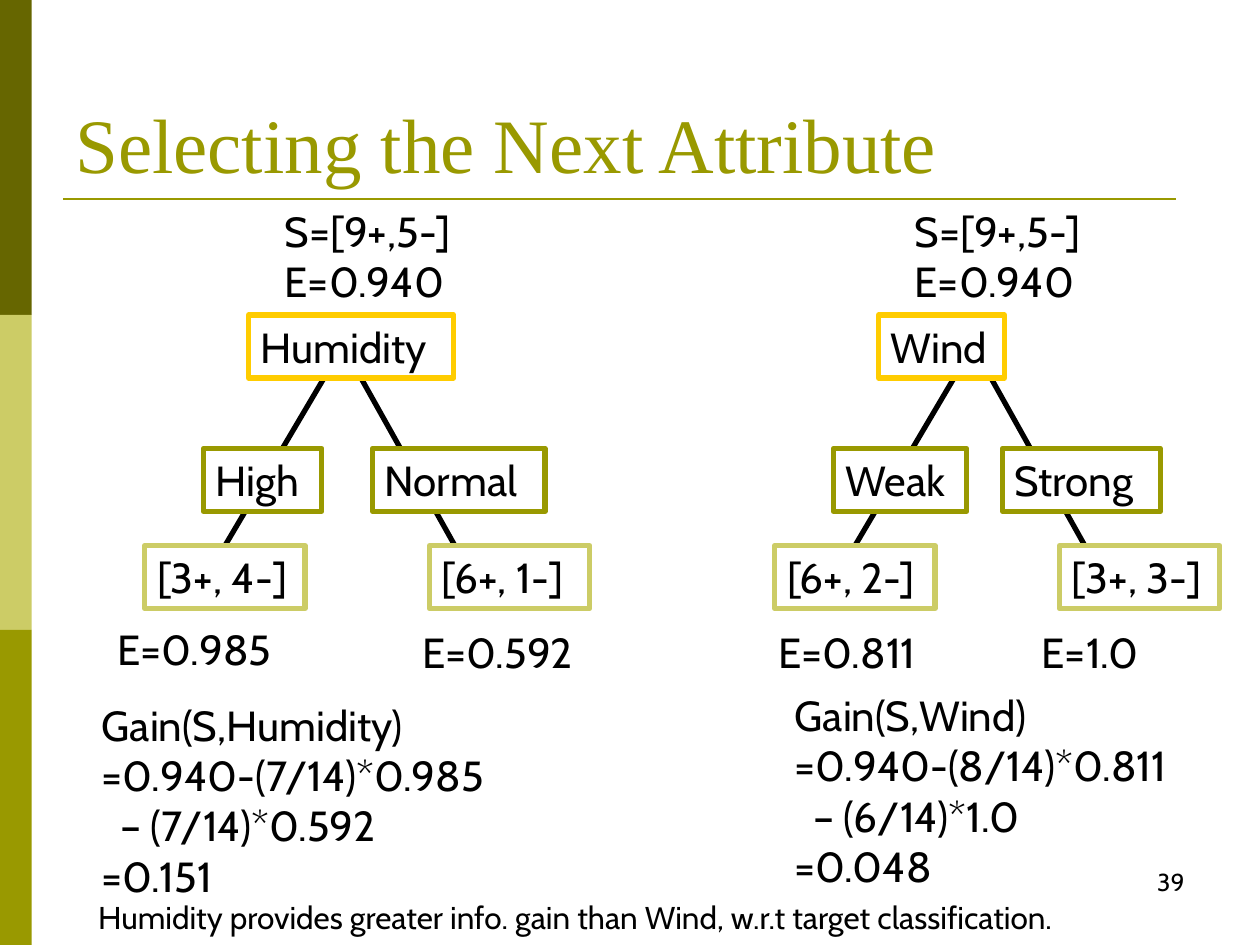
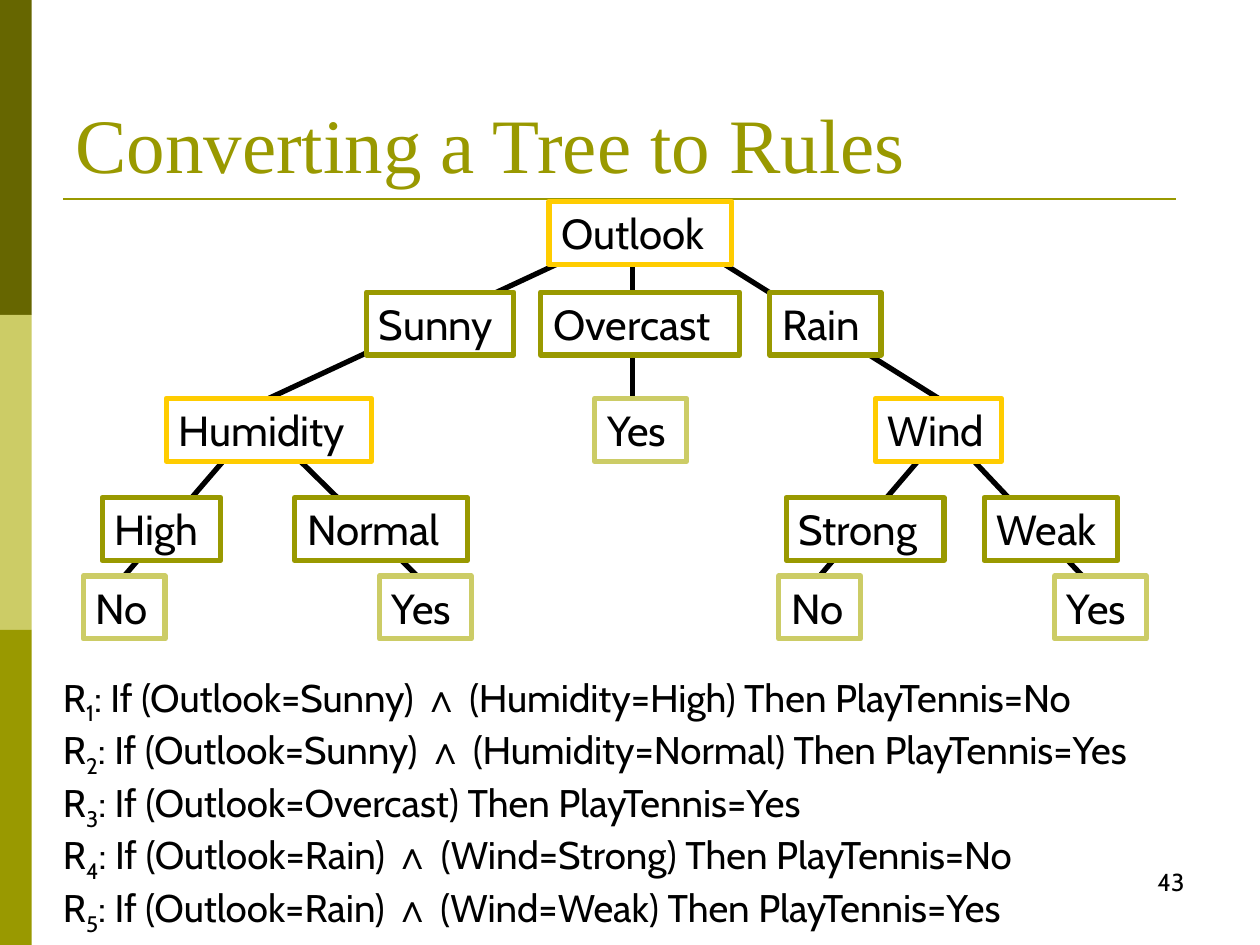
import pptx
import pptx.dml.color
import pptx.enum.shapes
import pptx.enum.text
import pptx.oxml.ns
import pptx.util
from lxml import etree

Cm = pptx.util.Cm
Pt = pptx.util.Pt
ALIGN = pptx.enum.text.PP_ALIGN
ANCHOR = pptx.enum.text.MSO_ANCHOR

BLACK, WHITE = "000000", "FFFFFF"
DARK_OLIVE, OLIVE, PALE_OLIVE, GOLD = "666600", "999900", "CCCC66", "FFCC00"
BODY_FONT, TITLE_FONT, SYMBOL_FONT = "Cabin", "Times New Roman", "Arial"
BANDS = [DARK_OLIVE, PALE_OLIVE, OLIVE]
NODE_HEIGHT = 1.27

NODE_WIDTHS = {
    GOLD: {"Outlook": 3.68, "Humidity": 4.14, "Wind": 2.54},
    OLIVE: {"Sunny": 2.97, "Overcast": 4.01, "Rain": 2.24, "High": 2.39,
            "Normal": 3.48, "Weak": 2.69, "Strong": 3.18},
    PALE_OLIVE: {"No": 1.65, "Yes": 1.85, "[3+, 4-]": 3.23, "[6+, 1-]": 3.23,
                 "[6+, 2-]": 3.23, "[3+, 3-]": 3.23},
}
NODE_STYLES = {label: (width, colour)
               for colour, widths in NODE_WIDTHS.items()
               for label, width in widths.items()}

START = ["S=[9+,5-]", "E=0.940"]
SPLIT_STEP = 12.7
SPLIT_BRANCHES = [(6.55, 7.59, 4.47, 11), (7.26, 7.59, 9.17, 11)]
SPLITS = [
    {
        "attribute": "Humidity",
        "values": ["High", "Normal"],
        "counts": ["[3+, 4-]", "[6+, 1-]"],
        "entropies": [("E=0.985", 2.11, 12.45), ("E=0.592", 8.26, 12.5)],
        "gain": ["Gain(S,Humidity)", "=0.940-(7/14)*0.985", "– (7/14)*0.592", "=0.151"],
        "gain_at": (1.8, 13.97),
    },
    {
        "attribute": "Wind",
        "values": ["Weak", "Strong"],
        "counts": ["[6+, 2-]", "[3+, 3-]"],
        "entropies": [("E=0.811", 15.44, 12.5), ("E=1.0", 20.75, 12.5)],
        "gain": ["Gain(S,Wind)", "=0.940-(8/14)*0.811", "– (6/14)*1.0", "=0.048"],
        "gain_at": (15.77, 13.77),
    },
]
CONCLUSION = "Humidity provides greater info. gain than Wind, w.r.t target classification."

TREE_ROWS = [
    (4.06, [("Outlook", 11.07)]),
    (5.89, [("Sunny", 7.39), ("Overcast", 10.9), ("Rain", 15.52)]),
    (8.03, [("Humidity", 3.35), ("Yes", 11.99), ("Wind", 17.65)]),
    (10.03, [("High", 2.06), ("Normal", 5.94), ("Strong", 15.85), ("Weak", 19.84)]),
    (11.61, [("No", 1.68), ("Yes", 7.65), ("No", 15.7), ("Yes", 21.26)]),
]
TREE_BRANCHES = [
    (12.14, 4.9, 5.44, 8.03), (13.92, 4.9, 18.85, 8.03), (12.75, 5.05, 12.75, 8.03),
    (4.85, 8.89, 2.49, 11.61), (5.64, 8.89, 8.41, 11.61),
    (18.85, 8.89, 16.48, 11.61), (19.25, 8.89, 21.82, 11.61),
]
RULES = [
    (["Outlook=Sunny", "Humidity=High"], "No"),
    (["Outlook=Sunny", "Humidity=Normal"], "Yes"),
    (["Outlook=Overcast"], "Yes"),
    (["Outlook=Rain", "Wind=Strong"], "No"),
    (["Outlook=Rain", "Wind=Weak"], "Yes"),
]


def rgb(colour):
    return pptx.dml.color.RGBColor.from_string(colour)


def add_run(paragraph, words, size=24, font=BODY_FONT, colour=BLACK):
    run = paragraph.add_run()
    run.text = words
    run.font.size = Pt(size)
    run.font.name = font
    run.font.color.rgb = rgb(colour)
    return run


def add_rect(slide, left, top, width, height, fill, outline=None):
    rect = slide.shapes.add_shape(pptx.enum.shapes.MSO_SHAPE.RECTANGLE,
                                  Cm(left), Cm(top), Cm(width), Cm(height))
    rect.shadow.inherit = False
    rect.fill.solid()
    rect.fill.fore_color.rgb = rgb(fill)
    if outline:
        rect.line.color.rgb = rgb(outline)
        rect.line.width = Pt(3)
    else:
        rect.line.fill.background()
    return rect


def add_line(slide, x1, y1, x2, y2, colour, weight):
    line = slide.shapes.add_connector(pptx.enum.shapes.MSO_CONNECTOR.STRAIGHT,
                                      Cm(x1), Cm(y1), Cm(x2), Cm(y2))
    line.line.color.rgb = rgb(colour)
    line.line.width = Pt(weight)
    etree.SubElement(line._element.spPr, pptx.oxml.ns.qn("a:effectLst"))
    return line


def add_text(slide, lines, left, top, width, height, align=ALIGN.LEFT,
             anchor=ANCHOR.TOP, **style):
    frame = slide.shapes.add_textbox(Cm(left), Cm(top), Cm(width), Cm(height)).text_frame
    frame.word_wrap = True
    frame.vertical_anchor = anchor
    for index, words in enumerate(lines):
        paragraph = frame.paragraphs[0] if index == 0 else frame.add_paragraph()
        paragraph.alignment = align
        if words.startswith("–"):
            paragraph._p.get_or_add_pPr().set("marL", str(Cm(0.38)))
        add_run(paragraph, words, **style)


def add_node(slide, label, left, top):
    width, colour = NODE_STYLES[label]
    node = add_rect(slide, left, top, width, NODE_HEIGHT, WHITE, colour)
    frame = node.text_frame
    frame.word_wrap = False
    frame.auto_size = pptx.enum.text.MSO_AUTO_SIZE.SHAPE_TO_FIT_TEXT
    frame.vertical_anchor = ANCHOR.TOP
    frame.paragraphs[0].alignment = ALIGN.LEFT
    add_run(frame.paragraphs[0], label)
    return node


def add_branches(slide, branches, nodes):
    near = Cm(0.1)
    for x1, y1, x2, y2 in branches:
        branch = add_line(slide, x1, y1, x2, y2, BLACK, 3)
        for node in nodes:
            middle = node.left + node.width // 2
            if abs(middle - Cm(x2)) < near and abs(node.top - Cm(y2)) < near:
                branch.end_connect(node, 0)
        slide.shapes._spTree.insert(2, branch._element)


def add_slide(deck, title, number):
    slide = deck.slides.add_slide(deck.slide_layouts[6])
    for index, colour in enumerate(BANDS):
        add_rect(slide, 0, index * 6.35, 0.64, 6.35, colour)
    add_line(slide, 1.27, 4.01, 23.7, 4.01, OLIVE, 1.5)
    add_text(slide, [number], 18.21, 17.35, 5.92, 1.27, align=ALIGN.RIGHT, size=14)
    add_text(slide, [title], 1.27, 0.76, 22.86, 3.18, anchor=ANCHOR.BOTTOM,
             size=44, font=TITLE_FONT, colour=OLIVE)
    return slide


def add_split(slide, split, shift):
    places = [(split["attribute"], 5.01, 6.35)]
    places += zip(split["values"], (4.1, 7.51), (9.04, 9.04))
    places += zip(split["counts"], (2.92, 8.66), (11, 11))
    nodes = [add_node(slide, label, left + shift, top) for label, left, top in places]
    add_branches(slide, [(x1 + shift, y1, x2 + shift, y2)
                         for x1, y1, x2, y2 in SPLIT_BRANCHES], nodes)
    add_text(slide, START, 5.49 + shift, 4.01, 3.96, 2.29)
    for entropy, left, top in split["entropies"]:
        add_text(slide, [entropy], left, top, 12.7, 1.27)
    add_text(slide, split["gain"], *split["gain_at"], 8.56, 4.32)


def add_rules(slide):
    frame = slide.shapes.add_textbox(Cm(1.02), Cm(13.46), Cm(23.75), Cm(6.48)).text_frame
    frame.word_wrap = True
    for number, (conditions, answer) in enumerate(RULES, 1):
        paragraph = frame.paragraphs[0] if number == 1 else frame.add_paragraph()
        add_run(paragraph, "R", 22)
        subscript = add_run(paragraph, str(number), 22)
        subscript.font._element.set("baseline", "-25000")
        add_run(paragraph, ": If ", 22)
        for index, condition in enumerate(conditions):
            if index:
                add_run(paragraph, "∧", 22, SYMBOL_FONT)
                add_run(paragraph, " ", 22)
            add_run(paragraph, f"({condition}) ", 22)
        add_run(paragraph, f"Then PlayTennis={answer}", 22)


def main():
    deck = pptx.Presentation()
    deck.slide_width, deck.slide_height = Cm(25.4), Cm(19.05)

    selecting = add_slide(deck, "Selecting the Next Attribute", "39")
    for index, split in enumerate(SPLITS):
        add_split(selecting, split, index * SPLIT_STEP)
    add_text(selecting, [CONCLUSION], 1.73, 17.98, 22.35, 1.02, size=18)

    converting = add_slide(deck, "Converting a Tree to Rules", "43")
    nodes = [add_node(converting, label, left, top)
             for top, row in TREE_ROWS for label, left in row]
    add_branches(converting, TREE_BRANCHES, nodes)
    add_rules(converting)

    deck.save("out.pptx")


if __name__ == "__main__":
    main()
